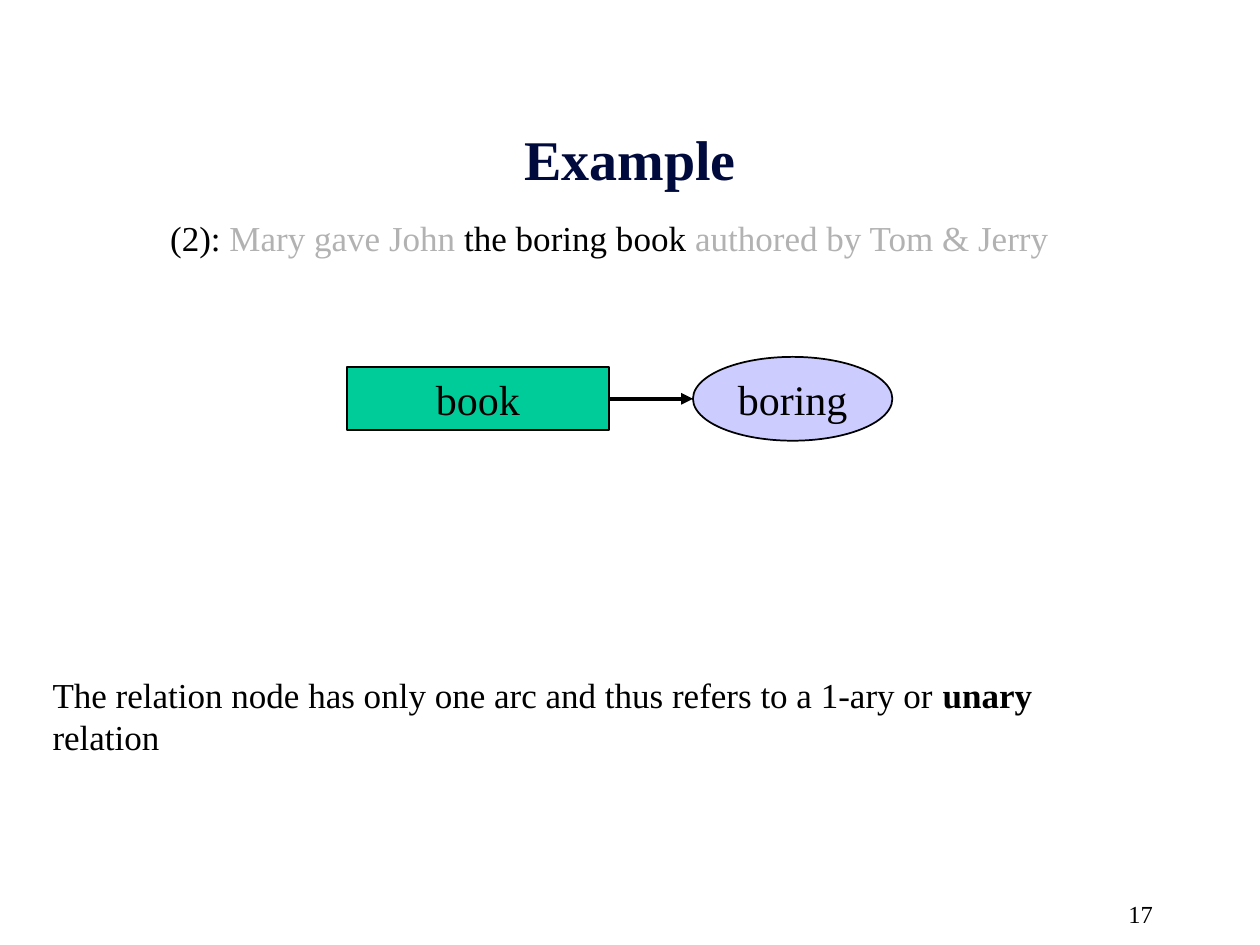
"""Build the slide showing a unary relation as a small conceptual graph."""
from lxml import etree
from pptx import Presentation
from pptx.dml.color import RGBColor
from pptx.enum.shapes import MSO_CONNECTOR, MSO_SHAPE
from pptx.enum.text import MSO_ANCHOR, PP_ALIGN
from pptx.oxml.ns import qn
from pptx.util import Cm, Pt

LEFT, CENTER, RIGHT = PP_ALIGN.LEFT, PP_ALIGN.CENTER, PP_ALIGN.RIGHT
TOP, MIDDLE = MSO_ANCHOR.TOP, MSO_ANCHOR.MIDDLE
RECTANGLE, OVAL = MSO_SHAPE.RECTANGLE, MSO_SHAPE.OVAL
STRAIGHT = MSO_CONNECTOR.STRAIGHT

FONT = "Times New Roman"
COLORS = {
    "text": "000000",
    "title": "000A3C",
    "muted": "B2B2B2",
    "concept": "00CC99",
    "relation": "CCCCFF",
}


def color(name):
    return RGBColor.from_string(COLORS[name])


def write(shape, runs, size, align=LEFT, anchor=TOP, wrap=True):
    frame = shape.text_frame
    frame.word_wrap = wrap
    frame.vertical_anchor = anchor
    paragraph = frame.paragraphs[0]
    paragraph.alignment = align
    for text, color_name, bold in runs:
        run = paragraph.add_run()
        run.text = text
        run.font.name = FONT
        run.font.size = Pt(size)
        run.font.bold = bold
        run.font.color.rgb = color(color_name)
    return paragraph


presentation = Presentation()
presentation.slide_width = Cm(25.4)
presentation.slide_height = Cm(19.05)
slide = presentation.slides.add_slide(presentation.slide_layouts[6])
shapes = slide.shapes

page_number = shapes.add_textbox(Cm(18.2), Cm(17.99), Cm(5.29), Cm(0.64))
write(page_number, [("17", "text", False)], 14, align=RIGHT)

title = shapes.add_textbox(Cm(1.91), Cm(2.12), Cm(21.59), Cm(2.12))
write(title, [("Example", "title", True)], 32, align=CENTER, anchor=MIDDLE)

sentence = shapes.add_textbox(Cm(1.91), Cm(4.23), Cm(21.59), Cm(13.55))
sentence_runs = [
    ("(2): ", "text", False),
    ("Mary gave John ", "muted", False),
    ("the boring book ", "text", False),
    ("authored by Tom & Jerry", "muted", False),
]
paragraph = write(sentence, sentence_runs, 20)
paragraph.space_before = Pt(5)
properties = paragraph._p.get_or_add_pPr()
properties.set("marL", str(Cm(2.06)))
properties.set("indent", str(Cm(-0.79)))

axis = Cm(8.04)
nodes = [
    ("book", RECTANGLE, "concept", 6.99, 5.29, 1.27),
    ("boring", OVAL, "relation", 13.97, 4.02, 1.69),
]
node_shapes = []
for label, kind, fill, left, width, height in nodes:
    top = axis - Cm(height) // 2
    node = shapes.add_shape(kind, Cm(left), top, Cm(width), Cm(height))
    node.shadow.inherit = False
    node.fill.solid()
    node.fill.fore_color.rgb = color(fill)
    node.line.color.rgb = color("text")
    node.line.width = Pt(1)
    write(node, [(label, "text", False)], 24, CENTER, MIDDLE, wrap=False)
    node_shapes.append(node)

book, boring = node_shapes
arc = shapes.add_connector(STRAIGHT, book.left + book.width, axis, boring.left, axis)
arc.line.color.rgb = color("text")
arc.line.width = Pt(2.25)
etree.SubElement(arc.line._get_or_add_ln(), qn("a:tailEnd"), type="triangle")
etree.SubElement(arc._element.spPr, qn("a:effectLst"))

remark = shapes.add_textbox(Cm(0.81), Cm(13.46), Cm(22.58), Cm(1.12))
remark_runs = [
    ("The relation node has only one arc and thus refers to a 1-ary or ", "text", False),
    ("unary", "text", True),
    (" relation", "text", False),
]
write(remark, remark_runs, 20, wrap=False)

presentation.save("out.pptx")
